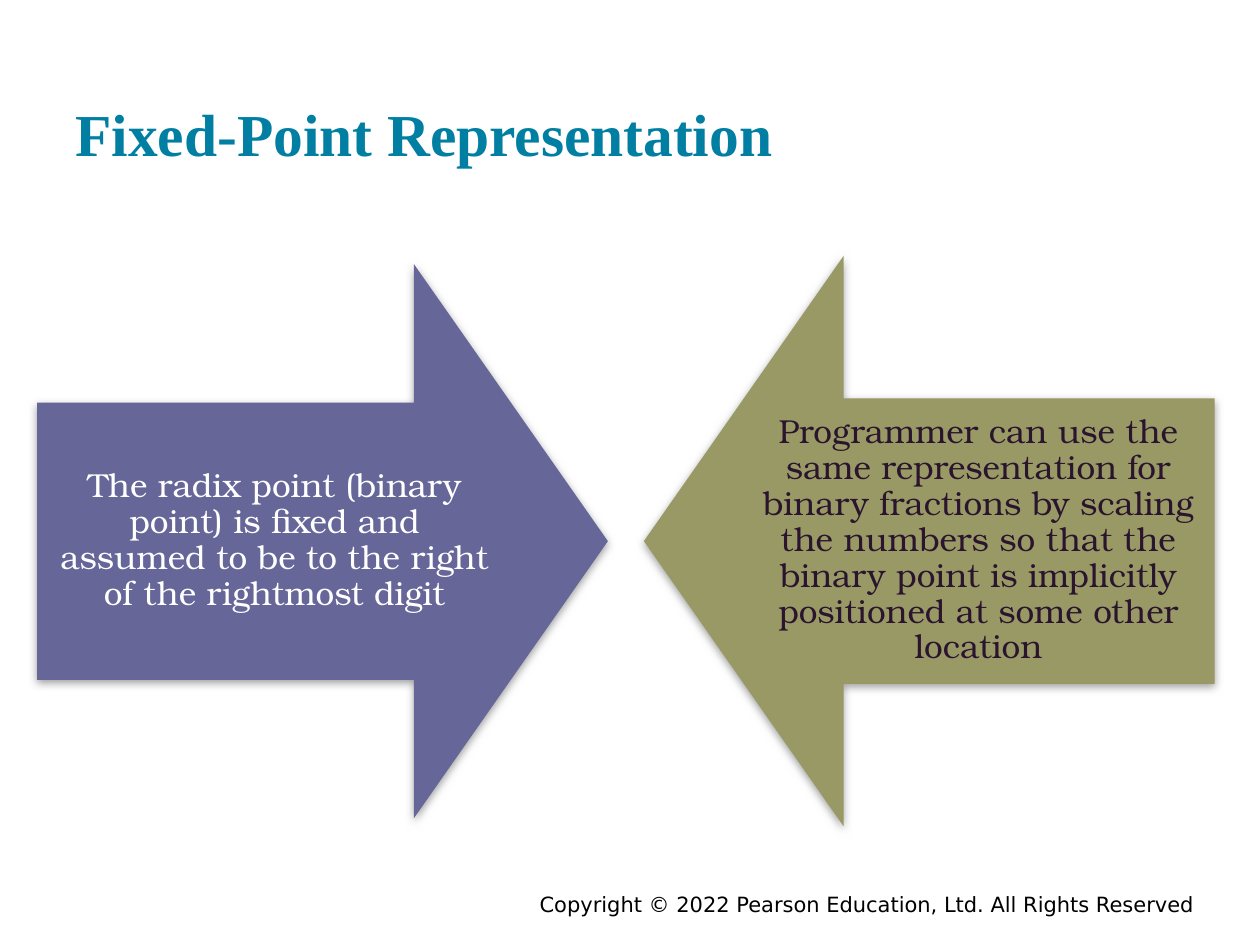
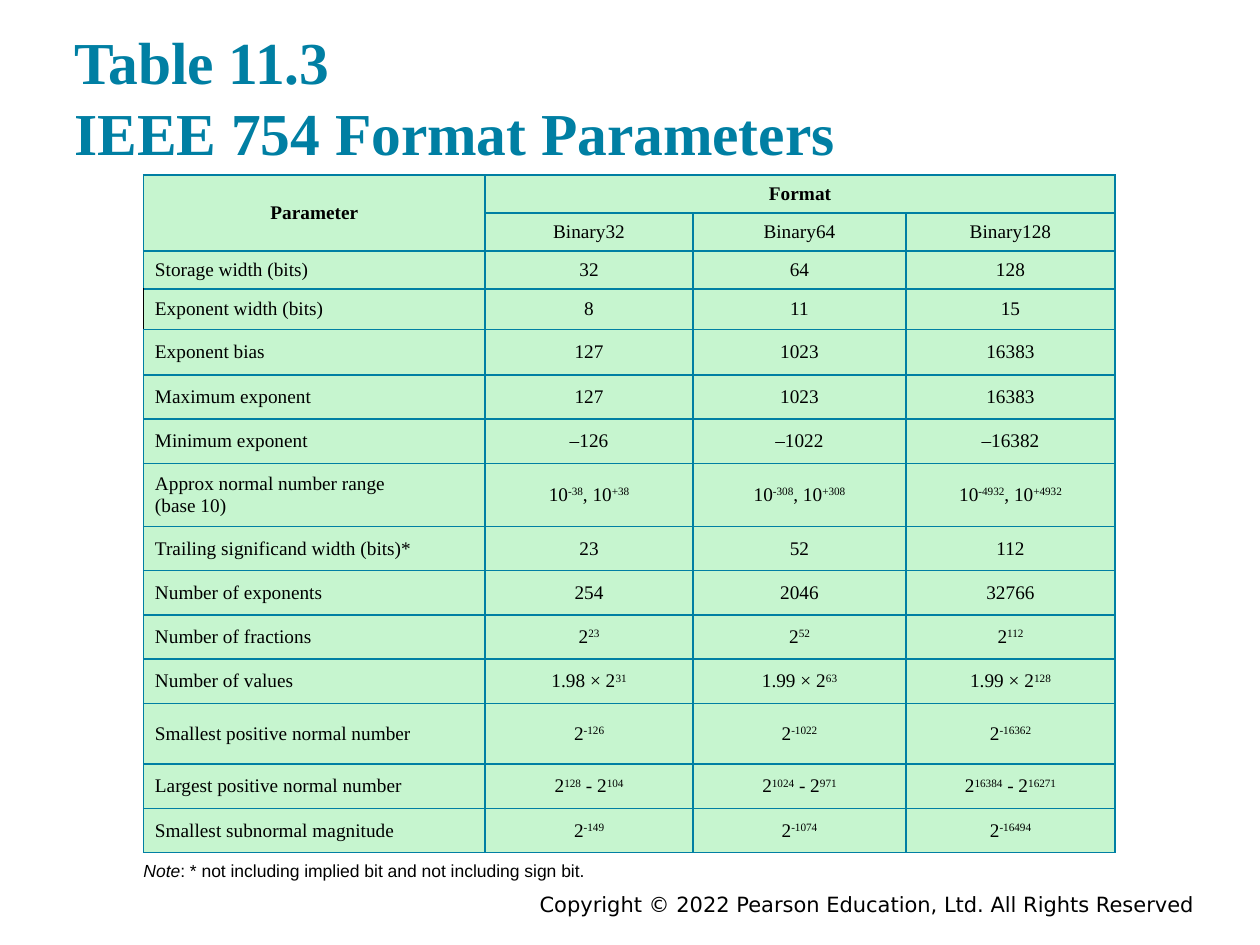
from dataclasses import dataclass

from pptx import Presentation
from pptx.dml.color import RGBColor
from pptx.enum.shapes import MSO_SHAPE
from pptx.enum.text import MSO_ANCHOR, MSO_AUTO_SIZE, PP_ALIGN
from pptx.oxml import parse_xml
from pptx.oxml.ns import nsdecls, qn
from pptx.util import Inches, Pt

COPYRIGHT = "Copyright © 2022 Pearson Education, Ltd. All Rights Reserved"

# Text, rotation, fill, text colour, arrow box and text box (left, top, width, height)
ARROWS = [
    ("The radix point (binary point) is fixed and assumed to be to the right "
     "of the rightmost digit",
     270, "666699", "FFFFFF", (0.36, 2.03, 4.4, 4.53), (0.3, 3.19, 3.76, 2.2)),
    ("Programmer can use the same representation for binary fractions by scaling "
     "the numbers so that the binary point is implicitly positioned at some other location",
     90, "999966", "2B142D", (5.11, 2.03, 4.53, 4.53), (5.9, 3.16, 3.73, 2.26)),
]

# Row height, parameter and its value per format; carets enclose a superscript
FORMAT_ROWS = [
    (0.3, "Parameter", "Format", "", ""),
    (0.3, "", "Binary32", "Binary64", "Binary128"),
    (0.3, "Storage width (bits)", "32", "64", "128"),
    (0.32, "Exponent width (bits)", "8", "11", "15"),
    (0.36, "Exponent bias", "127", "1023", "16383"),
    (0.35, "Maximum exponent", "127", "1023", "16383"),
    (0.35, "Minimum exponent", "–126", "–1022", "–16382"),
    (0.5, "Approx normal number range\n(base 10)",
     "10^-38^, 10^+38^", "10^-308^, 10^+308^", "10^-4932^, 10^+4932^"),
    (0.35, "Trailing significand width (bits)*", "23", "52", "112"),
    (0.35, "Number of exponents", "254", "2046", "32766"),
    (0.35, "Number of fractions", "2^23^", "2^52^", "2^112^"),
    (0.35, "Number of values", "1.98 × 2^31^", "1.99 × 2^63^", "1.99 × 2^128^"),
    (0.48, "Smallest positive normal number", "2^-126^", "2^-1022^", "2^-16362^"),
    (0.35, "Largest positive normal number",
     "2^128^ - 2^104^", "2^1024^ - 2^971^", "2^16384^ - 2^16271^"),
    (0.35, "Smallest subnormal magnitude", "2^-149^", "2^-1074^", "2^-16494^"),
]
COLUMN_WIDTHS = (2.71, 1.65, 1.69, 1.66)
TABLE_AREA = (1.14, 1.39, 7.72, 5.38)
HEADER_ROWS = 2
BLACK_EDGE_ROW = 3


@dataclass(frozen=True)
class Theme:
    accent: str = "007FA3"
    text: str = "000000"
    cell: str = "C6F5CF"
    shadow: str = "808080"
    title_font: str = "Times New Roman"
    arrow_font: str = "TeX Gyre Bonum"
    footer_font: str = "DejaVu Sans"
    note_font: str = "Arial"
    title_size: int = 34
    arrow_size: int = 19
    footer_size: int = 12
    table_size: int = 11
    note_size: int = 10


THEME = Theme()


def area(box):
    return [Inches(length) for length in box]


def add_span(para, text, font, size, color=THEME.text, bold=False, italic=False):
    span = para.add_run()
    span.text = text
    span.font.name, span.font.size = font, Pt(size)
    span.font.bold, span.font.italic = bold, italic
    span.font.color.rgb = RGBColor.from_string(color)
    return span


def set_margins(frame, across, down):
    frame.margin_left = frame.margin_right = Inches(across)
    frame.margin_top = frame.margin_bottom = Inches(down)


def add_text_box(page, box, across=0.1, down=0.05):
    frame = page.shapes.add_textbox(*area(box)).text_frame
    frame.word_wrap = True
    set_margins(frame, across, down)
    return frame


def add_page(deck, layout, lines, box):
    """Add a slide whose title holds the given lines."""
    page = deck.slides.add_slide(layout)
    title = page.shapes.title
    title.left, title.top, title.width, title.height = area(box)
    frame = title.text_frame
    frame.auto_size = MSO_AUTO_SIZE.NONE
    frame.vertical_anchor = MSO_ANCHOR.BOTTOM
    set_margins(frame, 0.1, 0.1)
    para = frame.paragraphs[0]
    para.alignment = PP_ALIGN.LEFT
    for index, line in enumerate(lines):
        if index:
            para.add_line_break()
        add_span(para, line, THEME.title_font, THEME.title_size, THEME.accent, bold=True)
    return page


def move_footer_to_layout(page, layout):
    """Write the copyright line once, on the layout that all slides share."""
    box = page.shapes.add_textbox(*area((1.75, 7.03, 7.83, 0.22)))
    box.text_frame.word_wrap = True
    para = box.text_frame.paragraphs[0]
    para.alignment = PP_ALIGN.RIGHT
    add_span(para, COPYRIGHT, THEME.footer_font, THEME.footer_size)
    layout.shapes.element.append(box.element)


def add_shadow(shape):
    shape.shadow.inherit = False
    effects = shape.element.spPr.find(qn("a:effectLst"))
    effects.append(parse_xml(
        f'<a:outerShdw {nsdecls("a")} blurRad="{Pt(5)}" dist="{Pt(2)}" dir="5400000" '
        f'rotWithShape="0"><a:srgbClr val="{THEME.shadow}"><a:alpha val="75000"/>'
        "</a:srgbClr></a:outerShdw>"))


def add_arrow(page, text, rotation, fill, color, arrow_box, text_box):
    arrow = page.shapes.add_shape(MSO_SHAPE.DOWN_ARROW, *area(arrow_box))
    arrow.rotation = rotation
    arrow.adjustments[0], arrow.adjustments[1] = 0.5, 0.35
    arrow.fill.solid()
    arrow.fill.fore_color.rgb = RGBColor.from_string(fill)
    arrow.line.fill.background()
    add_shadow(arrow)
    frame = add_text_box(page, text_box, 0.15, 0.15)
    frame.vertical_anchor = MSO_ANCHOR.MIDDLE
    para = frame.paragraphs[0]
    para.alignment, para.line_spacing = PP_ALIGN.CENTER, 0.9
    add_span(para, text, THEME.arrow_font, THEME.arrow_size, color)


def set_borders(cell, left_color):
    properties = cell._tc.get_or_add_tcPr()
    for index, side in enumerate("LRTB"):
        color = left_color if side == "L" else THEME.accent
        properties.insert(index, parse_xml(
            f'<a:ln{side} {nsdecls("a")} w="{Pt(1)}"><a:solidFill>'
            f'<a:srgbClr val="{color}"/></a:solidFill></a:ln{side}>'))


def fill_cell(cell, text, alignment, bold):
    cell.fill.solid()
    cell.fill.fore_color.rgb = RGBColor.from_string(THEME.cell)
    cell.vertical_anchor = MSO_ANCHOR.MIDDLE
    set_margins(cell, 0.09, 0.05)
    if not text:
        return
    for index, line in enumerate(text.split("\n")):
        frame = cell.text_frame
        para = frame.add_paragraph() if index else frame.paragraphs[0]
        para.alignment = alignment
        for part, piece in enumerate(line.split("^")):
            if piece:
                span = add_span(para, piece, THEME.title_font, THEME.table_size, bold=bold)
                if part % 2:
                    span.font._element.set("baseline", "30000")


def add_format_table(page):
    table = page.shapes.add_table(
        len(FORMAT_ROWS), len(COLUMN_WIDTHS), *area(TABLE_AREA)).table
    table.first_row = table.horz_banding = False
    for column, width in zip(table.columns, COLUMN_WIDTHS):
        column.width = Inches(width)
    scale = TABLE_AREA[3] / sum(height for height, *_ in FORMAT_ROWS)
    table.cell(0, 0).merge(table.cell(1, 0))
    table.cell(0, 1).merge(table.cell(0, 3))
    for row, (height, *texts) in enumerate(FORMAT_ROWS):
        table.rows[row].height = Inches(height * scale)
        for column, text in enumerate(texts):
            is_label = column == 0 and row >= HEADER_ROWS
            cell = table.cell(row, column)
            fill_cell(cell, text, PP_ALIGN.LEFT if is_label else PP_ALIGN.CENTER, row == 0)
            is_black = column == 0 and row == BLACK_EDGE_ROW
            set_borders(cell, THEME.text if is_black else THEME.accent)


def add_note(page):
    para = add_text_box(page, (1.04, 6.78, 7.92, 0.27)).paragraphs[0]
    add_span(para, "Note", THEME.note_font, THEME.note_size, italic=True)
    add_span(para, ": * not including implied bit and not including sign bit.",
             THEME.note_font, THEME.note_size)


def main():
    deck = Presentation()
    deck.slide_width, deck.slide_height = Inches(10), Inches(7.5)
    layout = deck.slide_layouts.get_by_name("Title Only")

    fixed_point = add_page(deck, layout, ["Fixed-Point Representation"], (0.5, 0.24, 9, 1.2))
    move_footer_to_layout(fixed_point, layout)
    for arrow in ARROWS:
        add_arrow(fixed_point, *arrow)

    parameters = add_page(deck, layout, ["Table 11.3 ", "IEEE 754 Format Parameters"],
                          (0.49, 0.21, 9, 1.22))
    add_format_table(parameters)
    add_note(parameters)
    deck.save("out.pptx")


if __name__ == "__main__":
    main()
